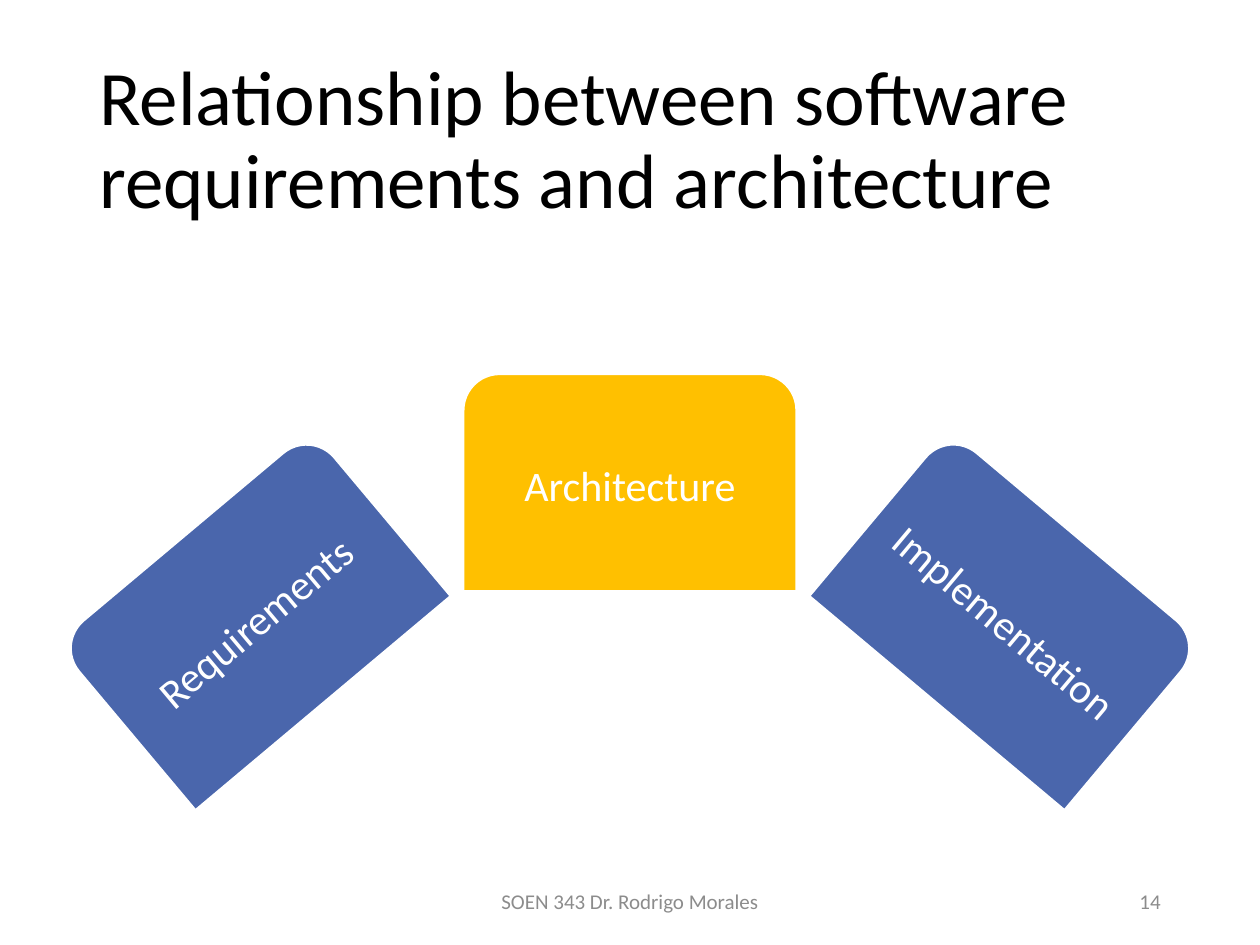
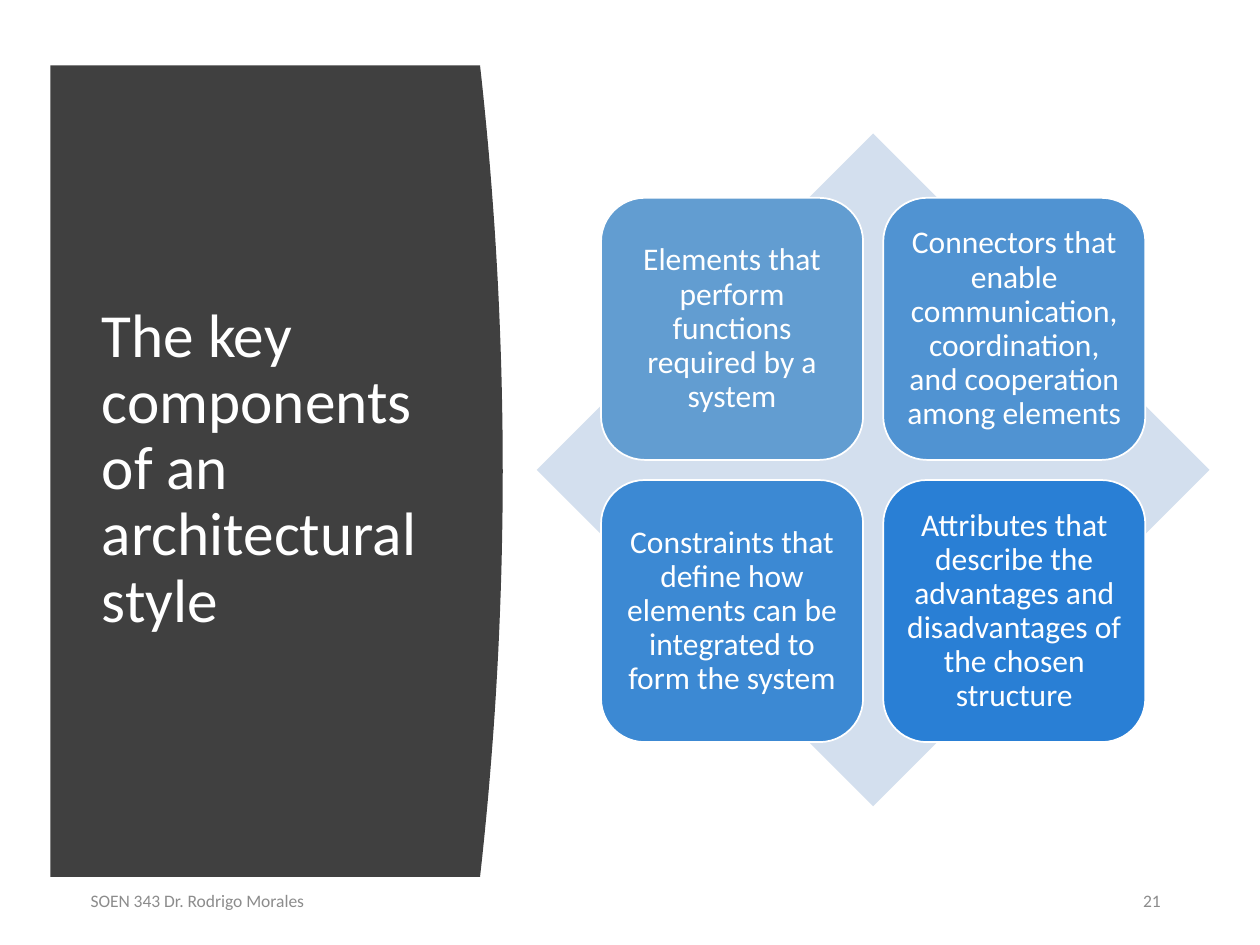
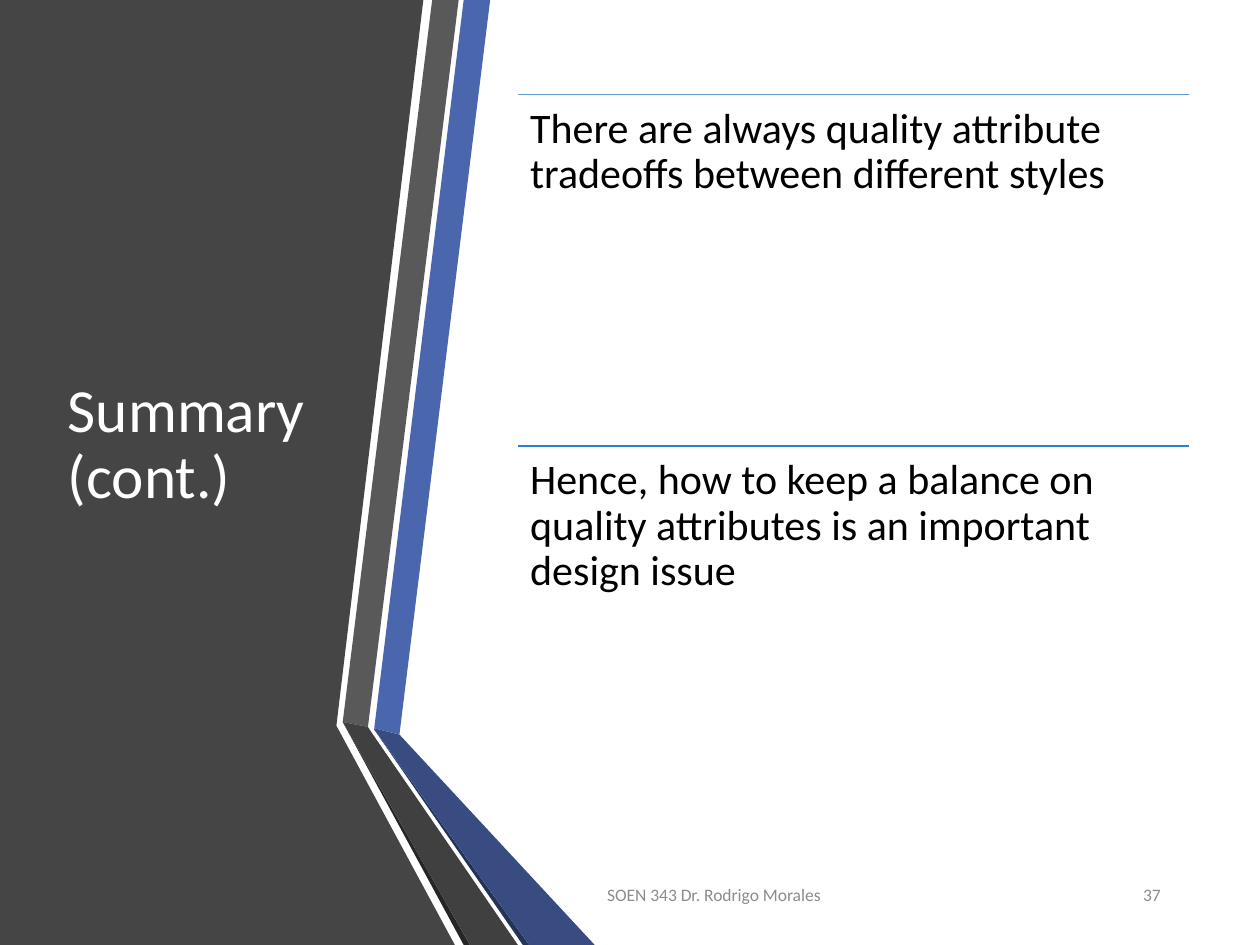
from itertools import product

from lxml.etree import SubElement
from pptx import Presentation
from pptx.dml.color import RGBColor
from pptx.enum.shapes import MSO_CONNECTOR, MSO_SHAPE
from pptx.enum.text import MSO_ANCHOR, PP_ALIGN
from pptx.oxml.ns import qn
from pptx.util import Inches, Pt

WHITE = RGBColor(0xFF, 0xFF, 0xFF)
BLACK = RGBColor(0x00, 0x00, 0x00)
FOOTER_GREY = RGBColor(0x8C, 0x8C, 0x8C)
PANEL_GREY = RGBColor(0x40, 0x40, 0x40)
SIDE_GREY = RGBColor(0x45, 0x45, 0x45)
BAND_GREY = RGBColor(0x59, 0x59, 0x59)
FOLD_BLACK = RGBColor(0x26, 0x26, 0x26)
INDIGO = RGBColor(0x4A, 0x66, 0xAC)
INDIGO_DARK = RGBColor(0x38, 0x4C, 0x81)
INDIGO_FOLD = RGBColor(0x25, 0x33, 0x56)
GOLD = RGBColor(0xFF, 0xC0, 0x00)
PALE_BLUE = RGBColor(0xD3, 0xDF, 0xEE)
SKY = RGBColor(0x62, 0x9D, 0xD1)
SKY_MID = RGBColor(0x50, 0x93, 0xD2)
AZURE_MID = RGBColor(0x3C, 0x89, 0xD3)
AZURE = RGBColor(0x29, 0x7F, 0xD5)

FONT = "Calibri"
COURSE = "SOEN 343 Dr. Rodrigo Morales"


def write(frame, text, size=18, color=WHITE, align=PP_ALIGN.LEFT,
          anchor=MSO_ANCHOR.MIDDLE, spacing=0.9, inset=(0.1, 0.05)):
    """Fill a text frame with one formatted paragraph."""
    frame.word_wrap = True
    frame.vertical_anchor = anchor
    frame.margin_left = frame.margin_right = Inches(inset[0])
    frame.margin_top = frame.margin_bottom = Inches(inset[1])
    paragraph = frame.paragraphs[0]
    paragraph.alignment = align
    paragraph.line_spacing = spacing
    run = paragraph.add_run()
    run.text = text
    run.font.name = FONT
    run.font.size = Pt(size)
    run.font.color.rgb = color


class Deck:
    """Holds the presentation, its shared style and the current slide."""

    def __init__(self):
        self.presentation = Presentation()
        self.presentation.slide_width = Inches(10)
        self.presentation.slide_height = Inches(7.5)
        self.shapes = None

    def new_slide(self):
        """Start a blank slide."""
        blank = self.presentation.slide_layouts[6]
        self.shapes = self.presentation.slides.add_slide(blank).shapes

    def text(self, box, text, **style):
        """Add a text box."""
        label = self.shapes.add_textbox(*map(Inches, box))
        write(label.text_frame, text, **style)

    def title(self, box, text, size=35, color=WHITE):
        """Add the slide title."""
        self.text(box, text, size=size, color=color)

    def footer(self, course_box, number_box, number, size=10,
               align=PP_ALIGN.LEFT):
        """Add the course name and the slide number."""
        style = dict(size=size, color=FOOTER_GREY, spacing=1.0)
        self.text(course_box, COURSE, align=align, **style)
        self.text(number_box, str(number), align=PP_ALIGN.RIGHT, **style)

    def paint(self, shape, fill, outline=None):
        """Give a shape a flat fill and an optional thin outline."""
        shape.shadow.inherit = False
        shape.fill.solid()
        shape.fill.fore_color.rgb = fill
        if outline is None:
            shape.line.fill.background()
        else:
            shape.line.color.rgb = outline
            shape.line.width = Pt(1)

    def block(self, kind, box, fill, text=None, outline=None, rotation=0,
              **style):
        """Add a preset shape with optional centred text."""
        shape = self.shapes.add_shape(kind, *map(Inches, box))
        shape.rotation = rotation
        self.paint(shape, fill, outline)
        if text:
            write(shape.text_frame, text, align=PP_ALIGN.CENTER, **style)

    def outline(self, points, fill):
        """Add a closed polygon through points in inches."""
        start, *rest = [(Inches(x), Inches(y)) for x, y in points]
        builder = self.shapes.build_freeform(*start)
        builder.add_line_segments(rest, close=True)
        self.paint(builder.convert_to_shape(), fill)

    def rule(self, left, right, top, color):
        """Add a thin horizontal line."""
        line = self.shapes.add_connector(
            MSO_CONNECTOR.STRAIGHT,
            *map(Inches, (left, top, right, top)))
        line.line.color.rgb = color
        line.line.width = Pt(1)
        SubElement(line._element.spPr, qn("a:effectLst"))


def add_relationship(deck):
    """Architecture as the bridge between requirements and implementation."""
    deck.new_slide()
    deck.title((0.69, 0.4, 8.62, 1.45),
               "Relationship between software requirements and architecture",
               size=44, color=BLACK)
    stages = [
        ("Requirements", 0.69, 4.06, 320, INDIGO),
        ("Architecture", 3.68, 2.97, 0, GOLD),
        ("Implementation", 6.67, 4.06, 40, INDIGO),
    ]
    for name, left, top, rotation, fill in stages:
        deck.block(MSO_SHAPE.ROUND_2_SAME_RECTANGLE, (left, top, 2.64, 1.72),
                   fill, name, WHITE, rotation, size=24, inset=(0.1, 0.03))
    deck.footer((3.31, 6.95, 3.38, 0.4), (7.06, 6.95, 2.25, 0.4), 14,
                size=12, align=PP_ALIGN.CENTER)


def add_components(deck):
    """Four components of a style around a diamond."""
    deck.new_slide()
    left, top, bottom, steps = 0.4, 0.52, 6.96, 40
    bulge, edge = 0.18, 3.81
    curve = []
    for step in range(steps + 1):
        offset = 2 * step / steps - 1
        curve.append((edge + bulge * (1 - offset ** 2),
                      top + (bottom - top) * step / steps))
    deck.outline([(left, top), *curve, (left, bottom)], PANEL_GREY)
    deck.title((0.71, 1.11, 2.8, 5.24),
               "The key components of an architectural style")

    deck.block(MSO_SHAPE.DIAMOND, (4.26, 1.06, 5.34, 5.34), PALE_BLUE)
    components = [
        ("Elements that perform functions required by a system", SKY),
        ("Connectors that enable communication, coordination, "
         "and cooperation among elements", SKY_MID),
        ("Constraints that define how elements can be integrated "
         "to form the system", AZURE_MID),
        ("Attributes that describe the advantages and disadvantages "
         "of the chosen structure", AZURE),
    ]
    side, pitch = 2.08, 2.24
    for (row, column), (text, fill) in zip(product(range(2), repeat=2),
                                           components):
        box = (4.77 + column * pitch, 1.57 + row * pitch, side, side)
        deck.block(MSO_SHAPE.ROUNDED_RECTANGLE, box, fill, text, WHITE,
                   inset=(0.07, 0.07))
    deck.footer((0.62, 6.95, 3.38, 0.4), (8.8, 6.95, 0.51, 0.4), 21)


def add_summary(deck):
    """Closing points beside a folded ribbon."""
    deck.new_slide()
    ribbon = [
        (SIDE_GREY, [(0, 0), (3.36, 0), (2.67, 5.76), (3.61, 7.5), (0, 7.5)]),
        (INDIGO, [(2.97, 5.78), (3.17, 5.83), (3.89, 0), (3.68, 0)]),
        (BAND_GREY, [(3.64, 0), (3.43, 0), (2.72, 5.73), (2.92, 5.77)]),
        (FOLD_BLACK, [(2.72, 5.73), (3.68, 7.5), (3.73, 7.5)]),
        (INDIGO_FOLD, [(2.97, 5.79), (4.15, 7.5), (4.2, 7.5)]),
        (INDIGO_DARK, [(2.97, 5.78), (2.97, 5.79), (4.2, 7.5), (4.72, 7.5),
                       (3.17, 5.83)]),
        (PANEL_GREY, [(4.11, 7.5), (2.96, 5.83), (2.92, 5.77), (2.72, 5.73),
                      (3.73, 7.5)]),
    ]
    for fill, points in ribbon:
        deck.outline(points, fill)
    deck.title((0.44, 0.75, 2.28, 5.58), "Summary (cont.)")

    conclusions = [
        ("There are always quality attribute tradeoffs between "
         "different styles", SKY),
        ("Hence, how to keep a balance on quality attributes is an "
         "important design issue", AZURE),
    ]
    left, width, height = 4.11, 5.33, 2.79
    for index, (text, color) in enumerate(conclusions):
        top = 0.75 + index * height
        deck.rule(left, left + width, top, color)
        deck.text((left, top, width, height), text, size=24, color=BLACK,
                  anchor=MSO_ANCHOR.TOP, inset=(0.1, 0.1))
    deck.footer((4.72, 6.9, 3.2, 0.4), (8.42, 6.9, 0.89, 0.4), 37)


def main():
    """Build the three slides and save them."""
    deck = Deck()
    add_relationship(deck)
    add_components(deck)
    add_summary(deck)
    deck.presentation.save("out.pptx")


if __name__ == "__main__":
    main()
